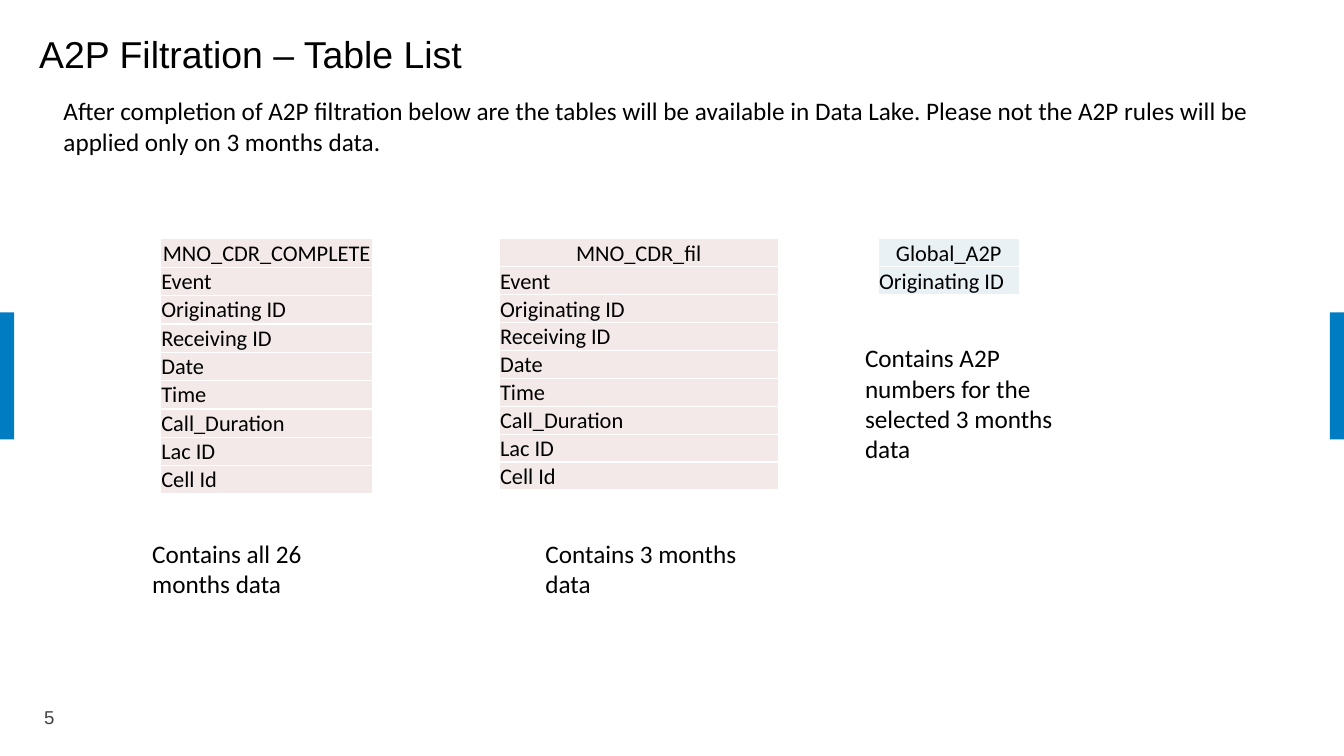
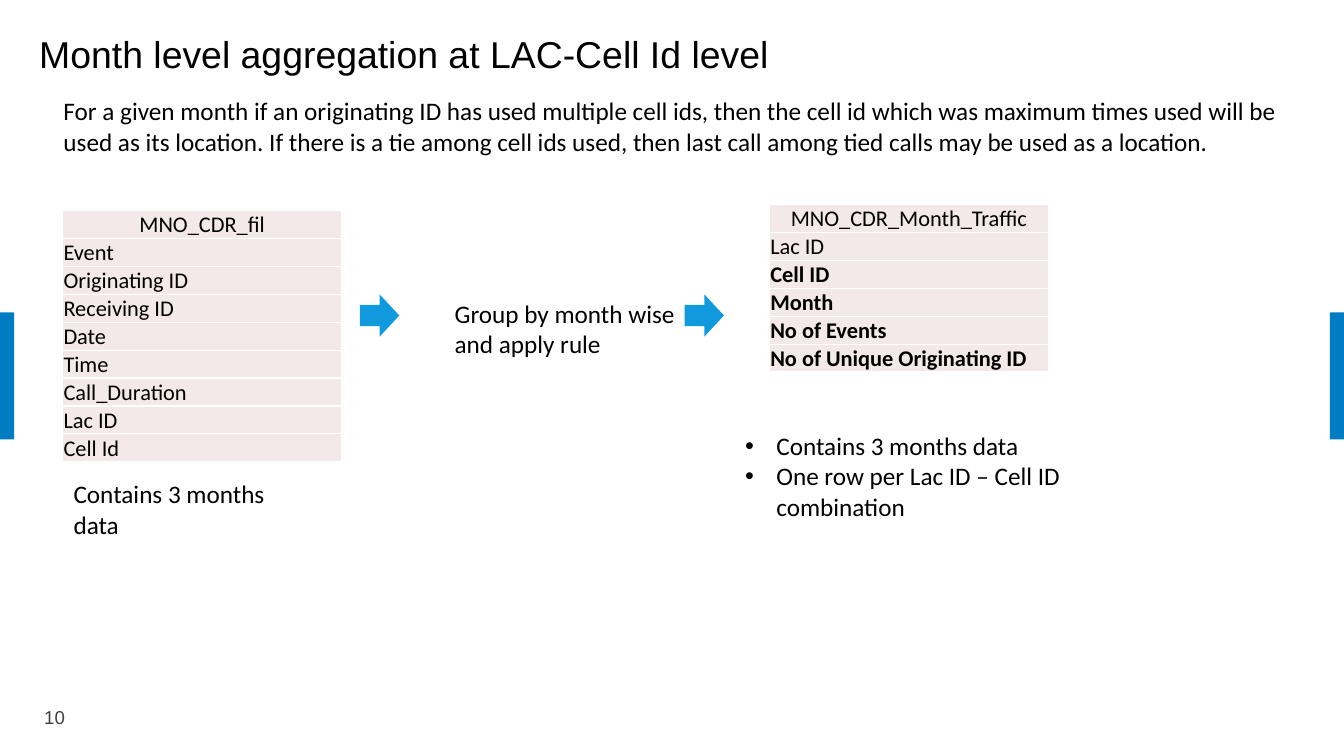
from lxml import etree
from pptx import Presentation
from pptx import util as u
from pptx.dml.color import RGBColor
from pptx.enum import shapes, text
from pptx.oxml import ns

BLACK = RGBColor(0x00, 0x00, 0x00)
WHITE = RGBColor(0xFF, 0xFF, 0xFF)
GRAY = RGBColor(0x40, 0x40, 0x40)
RAIL_BLUE = RGBColor(0x00, 0x7C, 0xC3)
ARROW_BLUE = RGBColor(0x11, 0x99, 0xDD)
PINK = RGBColor(0xF4, 0xE9, 0xE9)
ICE = RGBColor(0xE9, 0xF1, 0xF5)

HEADING_FONT, BODY_FONT = "Arial", "Calibri"
SLIDE_WIDTH, SLIDE_HEIGHT = 13.33, 7.5
RAIL_WIDTH, RAIL_TOP, RAIL_HEIGHT = 0.14, 3.1, 1.26
CAPTION_WIDTH = 2.36
BULLET_INDENT = 0.31

CDR_FIELDS = ["Event", "Originating ID", "Receiving ID", "Date", "Time",
              "Call_Duration", "Lac ID", "Cell Id"]


def inches(box):
    """Convert a sequence of numbers to lengths."""
    return [u.Inches(value) for value in box]


def write_text(frame, lines, size=18, font=BODY_FONT, color=BLACK, bold=False,
               align=text.PP_ALIGN.LEFT, bullet=False):
    """Write one formatted paragraph per line into a text frame."""
    for index, line in enumerate(lines):
        paragraph = frame.paragraphs[0] if index == 0 else frame.add_paragraph()
        paragraph.alignment = align
        run = paragraph.add_run()
        run.text = line
        run.font.size = u.Pt(size)
        run.font.name = font
        run.font.bold = bold
        run.font.color.rgb = color
        if bullet:
            properties = paragraph._p.get_or_add_pPr()
            indent = u.Inches(BULLET_INDENT)
            properties.set("marL", str(indent))
            properties.set("indent", str(-indent))
            bullet_font = etree.SubElement(properties, ns.qn("a:buFont"))
            bullet_font.set("typeface", HEADING_FONT)
            etree.SubElement(properties, ns.qn("a:buChar")).set("char", "•")


def add_text(slide, box, *lines, insets=(0.05, 0.05), **style):
    """Add a wrapping text box with (side, top) insets."""
    frame = slide.shapes.add_textbox(*inches(box)).text_frame
    frame.word_wrap = True
    side, top = inches(insets)
    frame.margin_left = frame.margin_right = side
    frame.margin_top = frame.margin_bottom = top
    write_text(frame, lines, **style)


def add_block(slide, kind, box, color):
    """Add a plain filled shape."""
    shape = slide.shapes.add_shape(kind, *inches(box))
    shape.shadow.inherit = False
    shape.fill.solid()
    shape.fill.fore_color.rgb = color
    shape.line.fill.background()


def add_borders(cell):
    """Draw thin white borders on all sides of a cell."""
    properties = cell._tc.get_or_add_tcPr()
    for side in ("lnL", "lnR", "lnT", "lnB"):
        line = etree.SubElement(properties, ns.qn(f"a:{side}"), w=str(u.Pt(1)))
        fill = etree.SubElement(line, ns.qn("a:solidFill"))
        etree.SubElement(fill, ns.qn("a:srgbClr"), val=str(WHITE))


def add_field_table(slide, box, name, fields, color=PINK, bold_fields=()):
    """Add a one-column table with its name above its fields."""
    rows = [name, *fields]
    table = slide.shapes.add_table(len(rows), 1, *inches(box)).table
    table.first_row = table.horz_banding = False
    for index, label in enumerate(rows):
        table.rows[index].height = u.Inches(box[3] / len(rows))
        cell = table.cell(index, 0)
        cell.margin_left = cell.margin_right = cell.margin_top = u.Inches(0.01)
        cell.margin_bottom = 0
        cell.vertical_anchor = text.MSO_ANCHOR.BOTTOM
        add_borders(cell)
        cell.fill.solid()
        cell.fill.fore_color.rgb = color
        align = text.PP_ALIGN.LEFT if index else text.PP_ALIGN.CENTER
        write_text(cell.text_frame, [label], size=16, align=align,
                   bold=label in bold_fields)


def add_base_slide(presentation, title, introduction, number):
    """Add a slide with side rails, title, introduction and page number."""
    slide = presentation.slides.add_slide(presentation.slide_layouts[6])
    for left in (SLIDE_WIDTH - RAIL_WIDTH, 0):
        add_block(slide, shapes.MSO_SHAPE.RECTANGLE,
                  (left, RAIL_TOP, RAIL_WIDTH, RAIL_HEIGHT), RAIL_BLUE)
    add_text(slide, (0.34, 6.93, 0.68, 0.41), number, insets=(0.1, 0.07),
             size=13.3, font=HEADING_FONT, color=GRAY)
    add_text(slide, (0.29, 0.22, 12.72, 0.66), title, insets=(0.1, 0.09),
             size=26.7, font=HEADING_FONT)
    add_text(slide, (0.58, 0.9, 12.43, 0.71), introduction)
    return slide


def build_table_list(presentation):
    """Build the slide that lists the available tables."""
    slide = add_base_slide(
        presentation, "A2P Filtration – Table List",
        "After completion of A2P filtration below are the tables will be "
        "available in Data Lake. Please not the A2P rules will be applied "
        "only on 3 months data.", "5")
    top, caption_top = 2.37, 5.29
    add_field_table(slide, (1.59, top, 2.11, 2.53), "MNO_CDR_COMPLETE", CDR_FIELDS)
    add_field_table(slide, (4.95, top, 2.77, 2.49), "MNO_CDR_fil", CDR_FIELDS)
    add_field_table(slide, (8.71, top, 1.4, 0.55), "Global_A2P",
                    ["Originating ID"], color=ICE)
    for left, caption_y, height, caption in (
            (1.46, caption_top, 0.71, "Contains all 26 months data"),
            (5.36, caption_top, 0.71, "Contains 3 months data"),
            (8.53, 3.35, 1.31, "Contains A2P numbers for the selected 3 months data")):
        add_text(slide, (left, caption_y, CAPTION_WIDTH, height), caption)


def build_aggregation(presentation):
    """Build the slide that shows the monthly aggregation flow."""
    slide = add_base_slide(
        presentation, "Month level aggregation at LAC-Cell Id level",
        "For a given month if an originating ID has used multiple cell ids, "
        "then the cell id which was maximum times used will be used as its "
        "location. If there is a tie among cell ids used, then last call among "
        "tied calls may be used as a location.", "10")
    add_field_table(slide, (0.62, 2.09, 2.77, 2.49), "MNO_CDR_fil", CDR_FIELDS)
    add_text(slide, (0.68, 4.7, CAPTION_WIDTH, 0.71), "Contains 3 months data")
    add_text(slide, (4.46, 2.91, CAPTION_WIDTH, 0.71),
             "Group by month wise and apply rule")
    for left in (3.57, 6.79):
        add_block(slide, shapes.MSO_SHAPE.RIGHT_ARROW,
                  (left, 2.92, 0.39, 0.42), ARROW_BLUE)
    new_fields = ["Cell ID", "Month", "No of Events", "No of Unique Originating ID"]
    add_field_table(slide, (7.63, 2.03, 2.77, 1.66), "MNO_CDR_Month_Traffic",
                    ["Lac ID", *new_fields], bold_fields=new_fields)
    add_text(slide, (7.34, 4.22, 3.75, 1.01), "Contains 3 months data",
             "One row per Lac ID – Cell ID combination", bullet=True)


def main():
    """Build and save the presentation."""
    presentation = Presentation()
    presentation.slide_width = u.Inches(SLIDE_WIDTH)
    presentation.slide_height = u.Inches(SLIDE_HEIGHT)
    build_table_list(presentation)
    build_aggregation(presentation)
    presentation.save("out.pptx")


if __name__ == "__main__":
    main()
